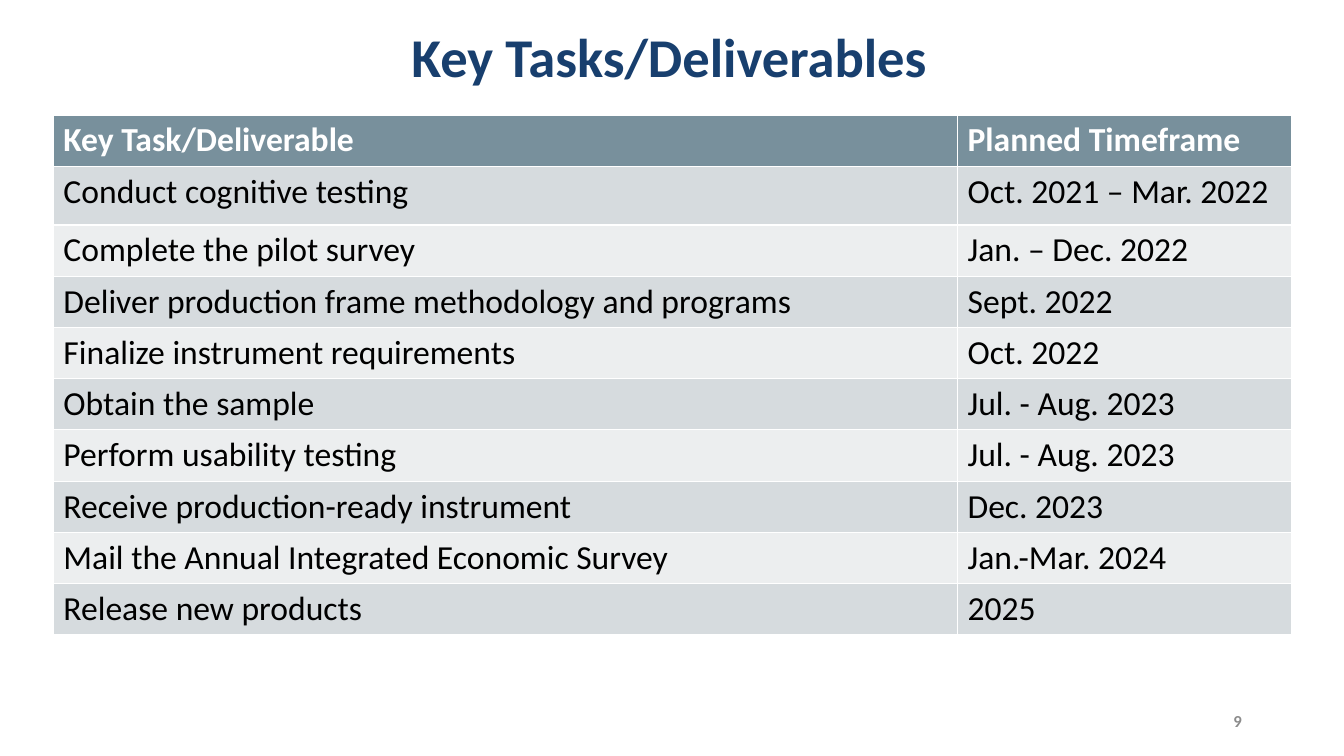
"""Build the key tasks and deliverables slide."""
from pptx import Presentation
from pptx.dml.color import RGBColor as RGB
from pptx.enum.text import MSO_ANCHOR as ANCHOR, PP_ALIGN as ALIGN
from pptx.util import Pt

TITLE = "Key Tasks/Deliverables"
PAGE = "9"
TASKS = [
    ("Key Task/Deliverable", "Planned Timeframe"),
    ("Conduct cognitive testing", "Oct. 2021 – Mar. 2022"),
    ("Complete the pilot survey", "Jan. – Dec. 2022"),
    ("Deliver production frame methodology and programs", "Sept. 2022"),
    ("Finalize instrument requirements", "Oct. 2022"),
    ("Obtain the sample", "Jul. - Aug. 2023"),
    ("Perform usability testing", "Jul. - Aug. 2023"),
    ("Receive production-ready instrument", "Dec. 2023"),
    ("Mail the Annual Integrated Economic Survey", "Jan.-Mar. 2024"),
    ("Release new products", "2025"),
]
THEME = {
    "font": "Calibri",
    "title": {"size": 39, "color": "183F6E", "bold": True},
    "page": {"size": 12, "color": "8C8C8C", "bold": True},
    "head": {"size": 24, "color": "FFFFFF", "bold": True},
    "body": {"size": 24, "color": "000000", "bold": False},
    "head_fill": "78909C",
    "bands": ("D6DBDE", "ECEEEF"),
}
COL_WIDTHS = (645.84, 238.32)
ROW_HEIGHT, FIRST_TASK_HEIGHT = 36.6, 42


def write(tf, text, style):
    """Put one styled run into a text frame and return its paragraph."""
    p = tf.paragraphs[0]
    r = p.add_run()
    r.text = text
    fmt = THEME[style]
    values = {"name": THEME["font"], "size": Pt(fmt["size"]), "bold": fmt["bold"]}
    for key, value in values.items():
        setattr(r.font, key, value)
    r.font.color.rgb = RGB.from_string(fmt["color"])
    return p


def add_text(s, box, text, style, anchor, align):
    """Add a wrapped text box."""
    tf = s.shapes.add_textbox(*map(Pt, box)).text_frame
    tf.word_wrap = True
    tf.vertical_anchor = anchor
    p = write(tf, text, style)
    p.alignment = align
    return p


def add_tasks(s):
    """Add the banded task table."""
    heights = [ROW_HEIGHT] * len(TASKS)
    heights[1] = FIRST_TASK_HEIGHT
    box = (38.16, 82.08, sum(COL_WIDTHS), sum(heights))
    table = s.shapes.add_table(len(TASKS), len(COL_WIDTHS), *map(Pt, box)).table
    for col, width in zip(table.columns, COL_WIDTHS):
        col.width = Pt(width)
    for i, (row, height, texts) in enumerate(zip(table.rows, heights, TASKS)):
        row.height = Pt(height)
        style = "body" if i else "head"
        fill = THEME["bands"][(i - 1) % 2] if i else THEME["head_fill"]
        for cell, text in zip(row.cells, texts):
            cell.fill.solid()
            cell.fill.fore_color.rgb = RGB.from_string(fill)
            write(cell.text_frame, text, style)


def main():
    """Build and save the slide."""
    prs = Presentation()
    prs.slide_width, prs.slide_height = Pt(960), Pt(540)
    s = prs.slides.add_slide(prs.slide_layouts[6])
    p = add_text(s, (118, 10.8, 720, 56.2), TITLE, "title", ANCHOR.BOTTOM, ALIGN.CENTER)
    p.line_spacing = 0.9
    add_text(s, (678.24, 500.4, 216, 28.8), PAGE, "page", ANCHOR.MIDDLE, ALIGN.RIGHT)
    add_tasks(s)
    prs.save("out.pptx")


if __name__ == "__main__":
    main()
